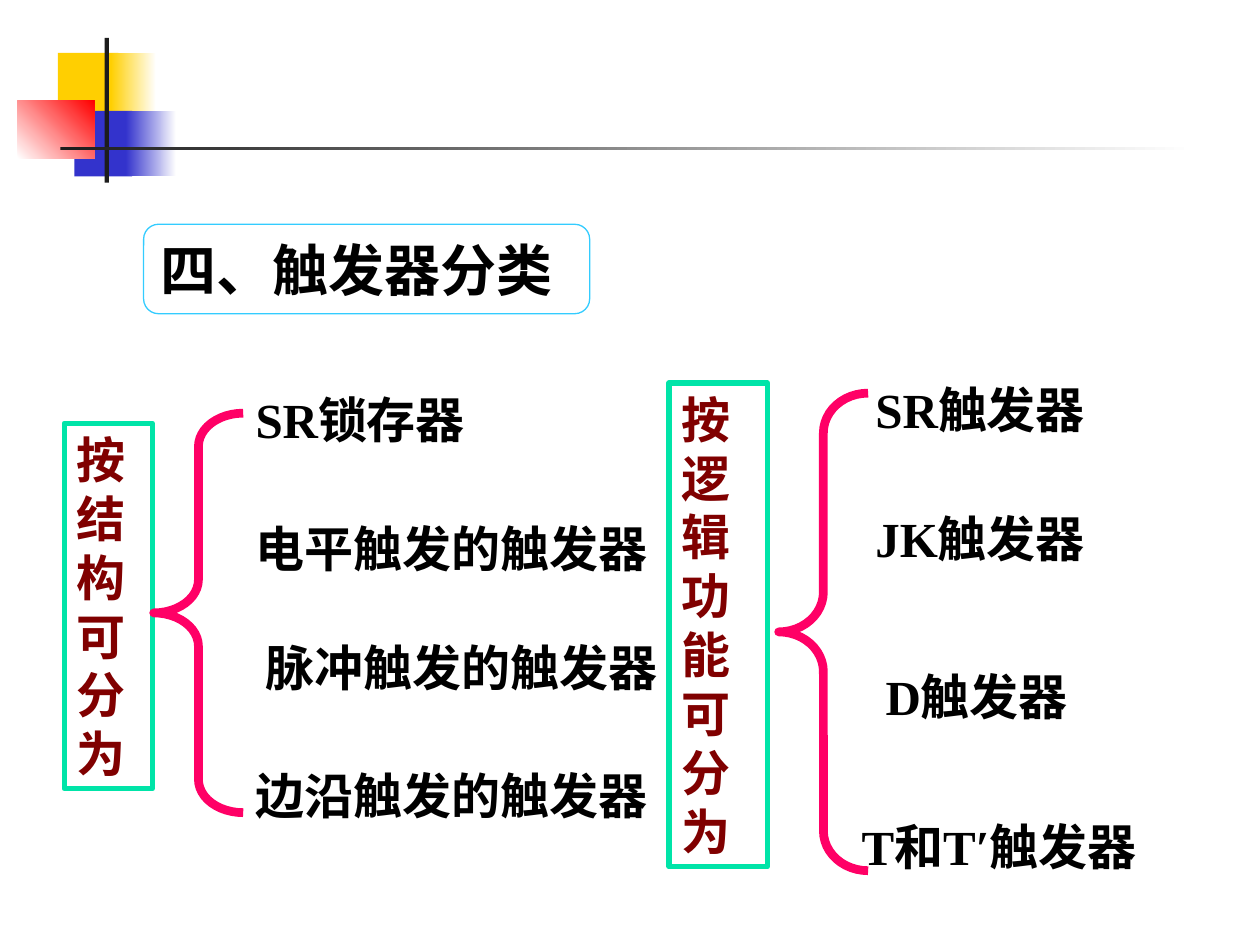
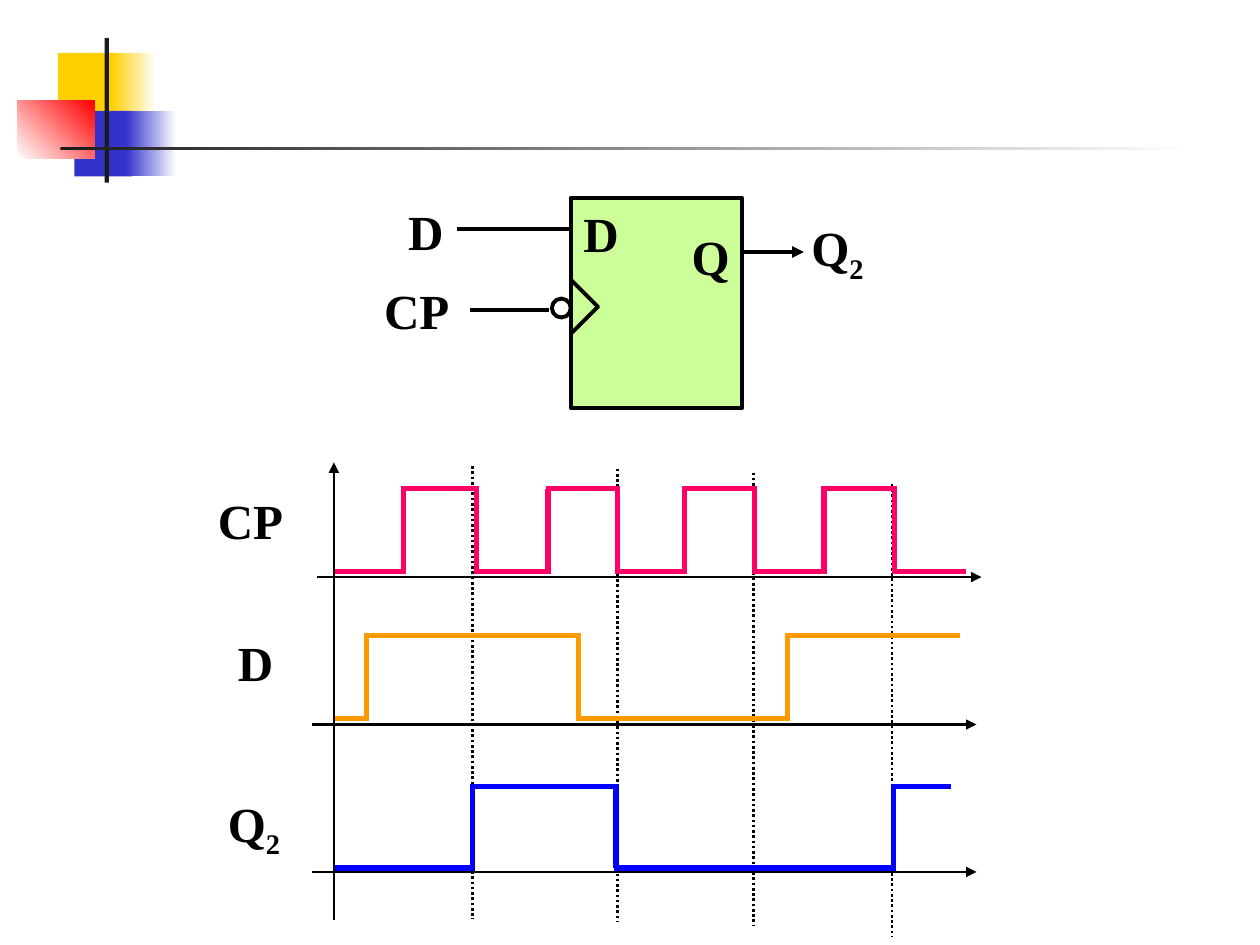
import pptx
import pptx.util
import pptx.dml.color
import pptx.enum.dml
import pptx.enum.shapes
import pptx.enum.text
import pptx.oxml.ns
import lxml.etree

RGBColor = pptx.dml.color.RGBColor
Shapes = pptx.enum.shapes.MSO_SHAPE
Align = pptx.enum.text.PP_ALIGN
Anchor = pptx.enum.text.MSO_ANCHOR
qualified = pptx.oxml.ns.qn

BLACK = RGBColor(0x00, 0x00, 0x00)
WHITE = RGBColor(0xFF, 0xFF, 0xFF)
CHARCOAL = RGBColor(0x1C, 0x1C, 0x1C)
GOLD = RGBColor(0xFF, 0xCF, 0x01)
INDIGO = RGBColor(0x33, 0x33, 0xCC)
RED = RGBColor(0xFF, 0x00, 0x00)
MAROON = RGBColor(0x80, 0x00, 0x00)
MINT = RGBColor(0x00, 0xE4, 0xA8)
SKY = RGBColor(0x33, 0xCC, 0xFF)
PINK = RGBColor(0xFF, 0x00, 0x66)
LIME = RGBColor(0xCC, 0xFF, 0x99)
ORANGE = RGBColor(0xFF, 0x99, 0x00)
BLUE = RGBColor(0x00, 0x00, 0xFF)

COLUMNS, ROWS = 100, 75


def write(shape, text, *, size=28, font="Times New Roman", color=BLACK,
          align=Align.LEFT, anchor=Anchor.TOP, subscript=""):
    frame = shape.text_frame
    frame.word_wrap = True
    frame.vertical_anchor = anchor
    paragraph = frame.paragraphs[0]
    paragraph.alignment = align
    for content in filter(None, (text, subscript)):
        run = paragraph.add_run()
        run.text = content
        run.font.size = pptx.util.Pt(size)
        run.font.name = font
        run.font.bold = True
        run.font.color.rgb = color
    if subscript:
        run._r.get_or_add_rPr().set("baseline", "-25000")


class Deck:
    def __init__(self):
        self.presentation = pptx.Presentation()
        self.presentation.slide_width = pptx.util.Inches(10)
        self.presentation.slide_height = pptx.util.Inches(7.5)
        self.layout = self.presentation.slide_layouts[6]
        self.slide = None

    def add_slide(self):
        self.slide = self.presentation.slides.add_slide(self.layout)

    def grid(self, *lengths):
        column = self.presentation.slide_width / COLUMNS
        row = self.presentation.slide_height / ROWS
        return [round(length * (row if index % 2 else column))
                for index, length in enumerate(lengths)]

    def shape(self, kind, place, fill=None, line=None, width=1, fade=None, angle=0):
        shape = self.slide.shapes.add_shape(kind, *self.grid(*place))
        shape.shadow.inherit = False
        if fade is not None:
            shape.fill.gradient()
            shape.fill.gradient_angle = angle
            for stop, color in zip(shape.fill.gradient_stops, (fill, fade)):
                stop.color.rgb = color
        elif fill is not None:
            shape.fill.solid()
            shape.fill.fore_color.rgb = fill
        else:
            shape.fill.background()
        if line is None:
            shape.line.fill.background()
        else:
            shape.line.color.rgb = line
            shape.line.width = pptx.util.Pt(width)
        return shape

    def label(self, text, place, **style):
        write(self.slide.shapes.add_textbox(*self.grid(*place)), text, **style)

    def line(self, start, end, color=BLACK, width=1.5, dotted=False, arrow=False):
        connector = self.slide.shapes.add_connector(
            pptx.enum.shapes.MSO_CONNECTOR.STRAIGHT, *self.grid(*start, *end))
        connector.line.color.rgb = color
        connector.line.width = pptx.util.Pt(width)
        if dotted:
            connector.line.dash_style = pptx.enum.dml.MSO_LINE.ROUND_DOT
        properties = connector.element.spPr
        if arrow:
            outline = properties.find(qualified("a:ln"))
            lxml.etree.SubElement(outline, qualified("a:tailEnd"), type="triangle")
        lxml.etree.SubElement(properties, qualified("a:effectLst"))

    def brace(self, left, top, width, height):
        brace = self.shape(Shapes.LEFT_BRACE, (left, top, width, height), line=PINK, width=5)
        brace.adjustments[0] = height / 12 / width

    def category(self, text, place):
        write(self.shape(Shapes.RECTANGLE, place, line=MINT, width=3), text, color=MAROON)

    def waveform(self, edges, low, high, color):
        overlap = 0.2
        for index, (left, right) in enumerate(zip(edges, edges[1:])):
            level, other = (high, low) if index % 2 else (low, high)
            self.line((left - overlap * (index > 0), level), (right + overlap, level), color, 3)
            if index < len(edges) - 2:
                self.line((right, level), (right, other), color, 3)

    def decorate_layout(self):
        for placeholder in list(self.layout.placeholders):
            placeholder.element.getparent().remove(placeholder.element)
        decorations = [
            ((4.6, 4.2, 4.8, 5.2), GOLD, None, 0),
            ((8.8, 4.2, 3.6, 5.2), GOLD, WHITE, 0),
            ((5.9, 8.8, 4.6, 5.2), INDIGO, None, 0),
            ((10, 8.8, 4, 5.2), INDIGO, WHITE, 0),
            ((1.4, 8, 6.1, 4.6), WHITE, RED, 45),
            ((8.3, 3, 0.35, 11.5), CHARCOAL, None, 0),
            ((4.8, 11.65, 90, 0.3), CHARCOAL, WHITE, 0),
        ]
        for place, fill, fade, angle in decorations:
            shape = self.shape(Shapes.RECTANGLE, place, fill, fade=fade, angle=angle)
            self.layout.shapes.element.append(shape.element)


def build_classification(deck):
    heading = deck.shape(Shapes.ROUNDED_RECTANGLE, (11.4, 17.8, 35.4, 7.1), WHITE, SKY, 0.75)
    write(heading, "四、触发器分类", size=32, font="Arial", anchor=Anchor.MIDDLE)
    deck.category("按结构可分为", (5.1, 33.6, 7, 29))
    deck.brace(12.2, 32.8, 7.1, 31.7)
    deck.category("按逻辑功能可分为", (53.1, 30.4, 7.8, 38.4))
    deck.brace(61.8, 31.2, 7.1, 37.9)
    members = [
        ("SR锁存器", 19.3, 30.4),
        ("电平触发的触发器", 19.3, 40.7),
        ("脉冲触发的触发器", 20.1, 50.1),
        ("边沿触发的触发器", 19.3, 60.3),
        ("SR触发器", 68.5, 29.6),
        ("JK触发器", 68.5, 39.9),
        ("D触发器", 69.3, 52.4),
        ("T和T′触发器", 67.4, 64.3),
    ]
    for text, left, top in members:
        deck.label(text, (left, top, 36, 5.7))


def build_timing(deck):
    deck.shape(Shapes.RECTANGLE, (45.3, 15.7, 13.6, 16.7), LIME, BLACK, 2.25)
    for start, end, arrow in [
        ((36.3, 18.2), (45.3, 18.2), False),
        ((37.3, 24.6), (43.6, 24.6), False),
        ((45.3, 22.2), (47.5, 24.4), False),
        ((47.5, 24.3), (45.3, 26.5), False),
        ((58.9, 20), (63.8, 20), True),
    ]:
        deck.line(start, end, width=2.25, arrow=arrow)
    deck.shape(Shapes.OVAL, (43.8, 23.7, 1.5, 1.5), WHITE, BLACK, 2.25)
    for text, left, top in [("D", 45.2, 15.6), ("Q", 53.9, 17.5)]:
        deck.label(text, (left, top, 5, 5.7), align=Align.CENTER, anchor=Anchor.MIDDLE)
    for text, left, top, subscript in [
        ("D", 31.4, 15.5, ""), ("CP", 29.5, 21.8, ""), ("Q", 63.4, 16.8, "2"),
        ("CP", 16.3, 38.4, ""), ("D", 17.9, 49.7, ""), ("Q", 17.1, 62.5, "2"),
    ]:
        deck.label(text, (left, top, 7.9, 5.7), subscript=subscript)

    for column, top in [(37.5, 37), (49, 37.2), (59.8, 37.5), (70.8, 38.4)]:
        deck.line((column, top), (column, top + 35.9), dotted=True)
    for left, row in [(25.2, 45.8), (24.8, 57.5), (24.8, 69.2)]:
        deck.line((left, row), (left + 52.7, row), arrow=True)
    deck.line((26.5, 73), (26.5, 36.7), arrow=True)

    clock = [26.6, 32, 37.8, 43.5, 49, 54.3, 59.9, 65.4, 71, 76.5]
    deck.waveform(clock, 45.35, 38.8, PINK)
    deck.waveform([26.6, 29.1, 45.9, 62.5, 76], 57, 50.45, ORANGE)
    deck.waveform([26.6, 37.5, 48.9, 70.9, 75.3], 68.9, 62.4, BLUE)


def main():
    deck = Deck()
    deck.add_slide()
    deck.decorate_layout()
    build_classification(deck)
    deck.add_slide()
    build_timing(deck)
    deck.presentation.save("out.pptx")


if __name__ == "__main__":
    main()
